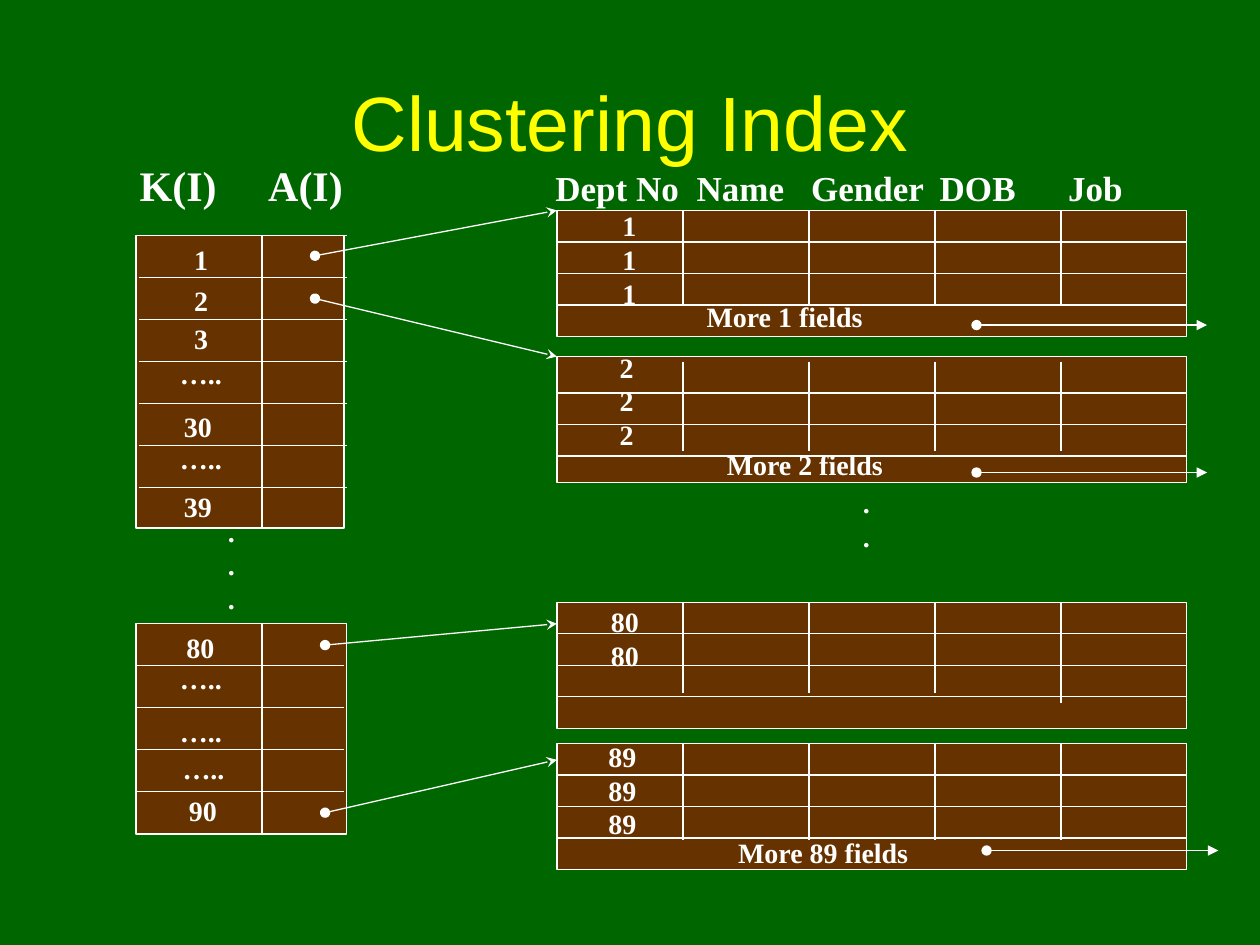
from dataclasses import dataclass

import lxml.etree
import pptx
import pptx.dml.color
import pptx.enum.shapes
import pptx.enum.text
import pptx.oxml.ns
import pptx.util

Inches = pptx.util.Inches
Pt = pptx.util.Pt
ALIGN = pptx.enum.text.PP_ALIGN
ANCHOR = pptx.enum.text.MSO_ANCHOR

GREEN, BROWN, WHITE, YELLOW = "006600", "663300", "FFFFFF", "FFFF00"
RECORD_LEFT, RECORD_WIDTH, RECORD_HEIGHT = 4.42, 5, 1


@dataclass
class IndexBlock:
    top: float
    width: float
    height: float
    first_line: float
    line_count: int
    line_left: float
    line_right: float


@dataclass
class RecordBlock:
    top: float
    first_line: float
    divider_top: float
    divider_bottoms: tuple[float, ...]


@dataclass
class Label:
    text: str
    left: float
    top: float
    width: float
    height: float = 0.37
    size: float = 16
    centered: bool = True
    tabs: tuple[float, ...] = ()
    font: str = "Times New Roman"
    color: str = WHITE
    bold: bool = True


@dataclass
class Arrow:
    start: tuple[float, float]
    end: tuple[float, float]
    tail: str


INDEX_BLOCKS = [
    IndexBlock(1.87, 1.65, 2.32, 1.87, 7, 1.1, 2.75),
    IndexBlock(4.95, 1.67, 1.67, 5.28, 4, 1.08, 2.73),
]

RECORD_BLOCKS = [
    RecordBlock(1.67, 1.92, 1.67, (2.42, 2.42, 2.42, 2.42)),
    RecordBlock(2.83, 3.12, 2.87, (3.58, 3.58, 3.58, 3.58)),
    RecordBlock(4.78, 5.03, 4.78, (5.5, 5.5, 5.5, 5.58)),
    RecordBlock(5.9, 6.15, 5.9, (6.67, 6.67, 6.67, 6.67)),
]

LABELS = [
    Label("Clustering Index", 0.75, 0.33, 8.5, 1.25, 44,
          font="Arial", color=YELLOW, bold=False),
    Label("K(I)\tA(I)", 1.01, 1.22, 1.95, 0.5, 24, False, (1.02,)),
    Label("Dept No\tName\tGender\tDOB\tJob", 4.31, 1.27, 4.8, 0.44, 20, False,
          (1.12, 2.03, 3.05, 4.07)),
    Label("1", 1.44, 1.87, 0.31),
    Label("2", 1.44, 2.2, 0.31),
    Label("3", 1.44, 2.5, 0.31),
    Label("…..", 1.33, 2.78, 0.53),
    Label("30", 1.36, 3.2, 0.42),
    Label("…..", 1.33, 3.45, 0.53),
    Label("39", 1.36, 3.83, 0.42),
    Label(".\n.\n.", 1.71, 4.03, 0.25, 0.9),
    Label("80", 1.38, 4.95, 0.42),
    Label("…..", 1.33, 5.2, 0.53),
    Label("…..", 1.33, 5.62, 0.53),
    Label("…..", 1.35, 5.91, 0.53),
    Label("90", 1.4, 6.25, 0.42),
    Label("1\n1\n1", 4.84, 1.61, 0.31, 1.17, centered=False),
    Label("2\n2\n2", 4.82, 2.73, 0.31, 1.17, centered=False),
    Label(".\n.", 6.75, 3.8, 0.25, 0.64),
    Label("80\n80", 4.75, 4.75, 0.42, 0.9, centered=False),
    Label("89\n89\n89", 4.73, 5.82, 0.42, 0.9, centered=False),
    Label("More 1 fields", 5.51, 2.33, 1.44, centered=False),
    Label("More 2 fields", 5.67, 3.5, 1.44, centered=False),
    Label("More 89 fields", 5.76, 6.58, 1.55, centered=False),
]

ARROWS = [
    Arrow((2.5, 2.03), (4.42, 1.67), "stealth"),
    Arrow((2.5, 2.37), (4.42, 2.83), "stealth"),
    Arrow((2.58, 5.12), (4.42, 4.95), "stealth"),
    Arrow((2.58, 6.45), (4.42, 6.03), "stealth"),
    Arrow((7.75, 2.58), (9.58, 2.58), "triangle"),
    Arrow((7.75, 3.75), (9.58, 3.75), "triangle"),
    Arrow((7.83, 6.75), (9.67, 6.75), "triangle"),
]


def hex_color(value: str) -> pptx.dml.color.RGBColor:
    return pptx.dml.color.RGBColor.from_string(value)


def add_child(parent, tag: str, **attributes: str):
    child = lxml.etree.SubElement(parent, pptx.oxml.ns.qn(tag))
    for name, value in attributes.items():
        child.set(name, value)
    return child


def style_line(line) -> None:
    line.color.rgb = hex_color(WHITE)
    line.width = Pt(0.75)


def add_box(slide, left: float, top: float, width: float, height: float) -> None:
    shape = slide.shapes.add_shape(
        pptx.enum.shapes.MSO_SHAPE.RECTANGLE,
        Inches(left), Inches(top), Inches(width), Inches(height))
    shape.shadow.inherit = False
    shape.fill.solid()
    shape.fill.fore_color.rgb = hex_color(BROWN)
    style_line(shape.line)


def add_line(slide, start: tuple[float, float], end: tuple[float, float], tail: str = "") -> None:
    connector = slide.shapes.add_connector(
        pptx.enum.shapes.MSO_CONNECTOR.STRAIGHT,
        *(Inches(value) for value in start + end))
    style_line(connector.line)
    if tail:
        outline = connector.line._get_or_add_ln()
        add_child(outline, "a:headEnd", type="oval")
        add_child(outline, "a:tailEnd", type=tail)
    add_child(connector._element.spPr, "a:effectLst")


def add_index_block(slide, block: IndexBlock) -> None:
    add_box(slide, 1.08, block.top, block.width, block.height)
    for row in range(block.line_count):
        y = block.first_line + row / 3
        add_line(slide, (block.line_left, y), (block.line_right, y))
    add_line(slide, (2.08, block.top), (2.08, block.top + block.height))


def add_record_block(slide, block: RecordBlock) -> None:
    add_box(slide, RECORD_LEFT, block.top, RECORD_WIDTH, RECORD_HEIGHT)
    for row in range(3):
        y = block.first_line + row * 0.25
        add_line(slide, (RECORD_LEFT, y), (RECORD_LEFT + RECORD_WIDTH, y))
    for column, bottom in enumerate(block.divider_bottoms, 1):
        x = RECORD_LEFT + column
        add_line(slide, (x, block.divider_top), (x, bottom))


def add_label(slide, label: Label) -> None:
    shape = slide.shapes.add_textbox(
        Inches(label.left), Inches(label.top), Inches(label.width), Inches(label.height))
    text_frame = shape.text_frame
    text_frame.word_wrap = bool(label.tabs)
    text_frame.vertical_anchor = ANCHOR.MIDDLE if label.centered else ANCHOR.TOP
    text_frame.text = label.text
    for paragraph in text_frame.paragraphs:
        paragraph.alignment = ALIGN.CENTER if label.centered else ALIGN.LEFT
        paragraph.line_spacing = Pt(label.size * 1.2)
        if label.tabs:
            tab_list = add_child(paragraph._p.get_or_add_pPr(), "a:tabLst")
            for position in label.tabs:
                add_child(tab_list, "a:tab", pos=str(Inches(position)), algn="l")
        for run in paragraph.runs:
            run.font.name = label.font
            run.font.size = Pt(label.size)
            run.font.bold = label.bold
            run.font.color.rgb = hex_color(label.color)


def main() -> None:
    presentation = pptx.Presentation()
    presentation.slide_width = Inches(10)
    presentation.slide_height = Inches(7.5)
    slide = presentation.slides.add_slide(presentation.slide_layouts[6])
    slide.background.fill.solid()
    slide.background.fill.fore_color.rgb = hex_color(GREEN)
    for index_block in INDEX_BLOCKS:
        add_index_block(slide, index_block)
    for record_block in RECORD_BLOCKS:
        add_record_block(slide, record_block)
    for label in LABELS:
        add_label(slide, label)
    for arrow in ARROWS:
        add_line(slide, arrow.start, arrow.end, arrow.tail)
    presentation.save("out.pptx")


if __name__ == "__main__":
    main()
